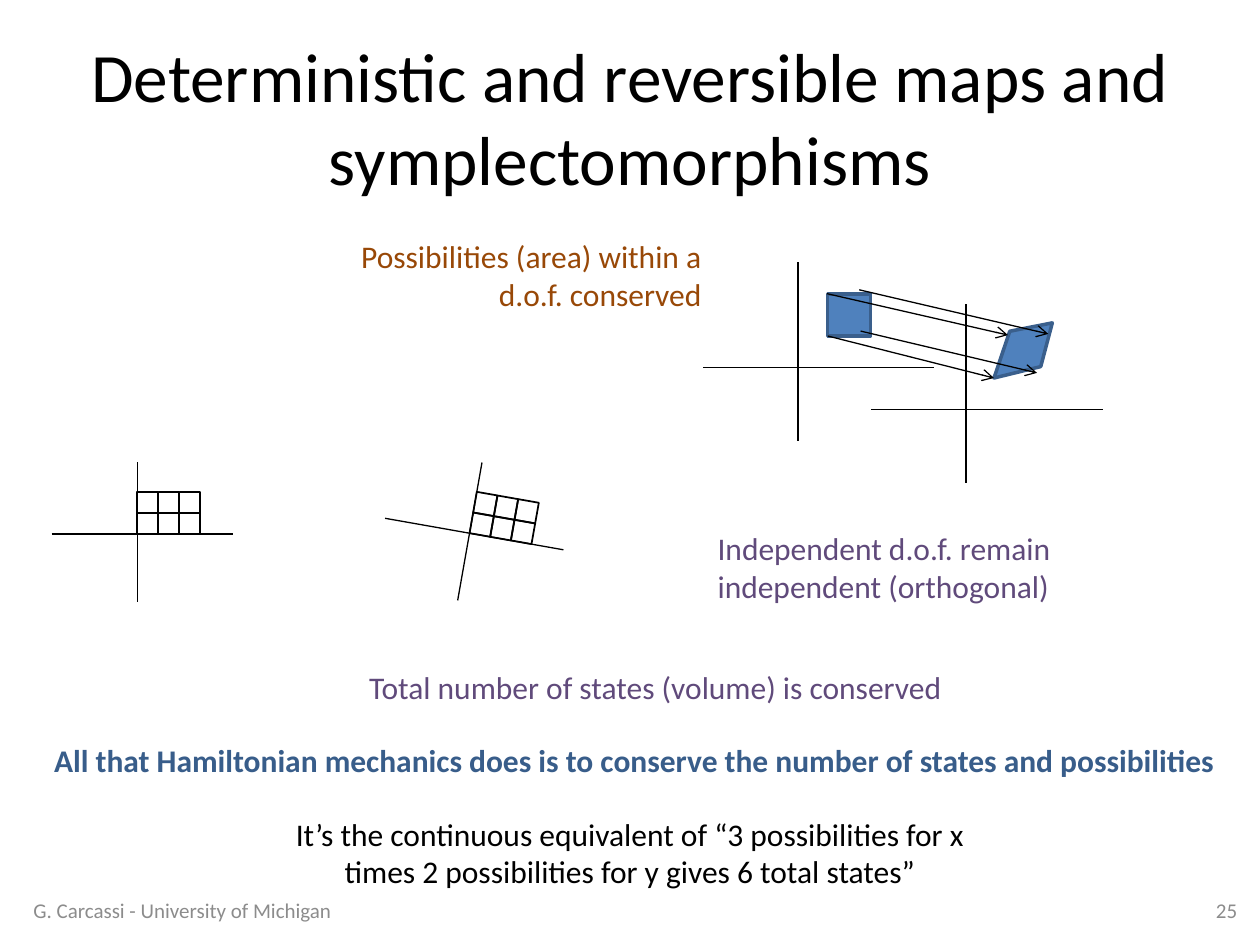
from math import cos, radians, sin

from lxml import etree
from pptx import Presentation
from pptx.dml.color import RGBColor
from pptx.enum import shapes, text
from pptx.oxml.ns import qn
from pptx.util import Pt

COLORS = {
    "black": "000000", "brown": "984807", "purple": "604A7B",
    "navy": "385D8A", "gray": "8C8C8C", "blue": "4F81BD", "edge": "3A5F8C",
}
LEFT, CENTER, RIGHT = text.PP_ALIGN.LEFT, text.PP_ALIGN.CENTER, text.PP_ALIGN.RIGHT
TOP, MIDDLE = text.MSO_ANCHOR.TOP, text.MSO_ANCHOR.MIDDLE
CELL = 12


class SlideBuilder:
    font = "Calibri"

    def __init__(self, slide):
        self.slide = slide

    def color(self, name):
        return RGBColor.from_string(COLORS[name])

    def set_text(self, frame, lines, size, color, align, bold=False):
        frame.text = "\n".join(lines)
        for paragraph in frame.paragraphs:
            paragraph.alignment = align
            font = paragraph.font
            font.name, font.size, font.bold = self.font, Pt(size), bold
            font.color.rgb = self.color(color)

    def title(self, wording, box):
        title = self.slide.shapes.title
        title.left, title.top, title.width, title.height = map(Pt, box)
        title.text_frame.vertical_anchor = MIDDLE
        self.set_text(title.text_frame, [wording], 39.6, "black", CENTER)

    def label(self, lines, box, color, align=LEFT, size=18, bold=False,
              wrap=True, anchor=TOP):
        frame = self.slide.shapes.add_textbox(*map(Pt, box)).text_frame
        frame.word_wrap, frame.vertical_anchor = wrap, anchor
        self.set_text(frame, lines, size, color, align, bold)

    def group(self):
        return self.slide.shapes.add_group_shape().shapes

    def line(self, start, end, width=0.75, arrow=False, parent=None):
        connector = (parent or self.slide.shapes).add_connector(
            shapes.MSO_CONNECTOR.STRAIGHT, *map(Pt, (*start, *end)))
        connector.line.color.rgb = self.color("black")
        connector.line.width = Pt(width)
        properties = connector._element.spPr
        if arrow:
            etree.SubElement(properties.find(qn("a:ln")), qn("a:tailEnd"), type="arrow")
        etree.SubElement(properties, qn("a:effectLst"))

    def polygon(self, corners, parent):
        first, *rest = [(Pt(x), Pt(y)) for x, y in corners]
        builder = parent.build_freeform(*first)
        builder.add_line_segments(rest, close=True)
        region = builder.convert_to_shape()
        region.shadow.inherit = False
        region.fill.solid()
        region.fill.fore_color.rgb = self.color("blue")
        region.line.color.rgb = self.color("edge")
        region.line.width = Pt(2)

    def cell(self, center, angle, parent):
        x, y = center
        square = parent.add_shape(
            shapes.MSO_SHAPE.RECTANGLE,
            *map(Pt, (x - CELL / 2, y - CELL / 2, CELL, CELL)))
        square.rotation = angle
        square.shadow.inherit = False
        square.fill.background()
        square.line.color.rgb = self.color("black")
        square.line.width = Pt(1)

    def phase_plane(self, origin, corners):
        """Axes around origin with a filled region of possibilities."""
        x, y = origin
        plane = self.group()
        self.polygon(corners, plane)
        self.line((x, y - 60), (x, y + 42), 1, parent=plane)
        self.line((x - 54, y), (x + 78, y), 1, parent=plane)

    def state_grid(self, origin, angle):
        """Axes and a 3 by 2 grid of states, turned around origin."""
        turn = radians(angle)

        def place(x, y):
            return (origin[0] + x * cos(turn) - y * sin(turn),
                    origin[1] + x * sin(turn) + y * cos(turn))

        self.line(place(0, -41), place(0, 39))
        self.line(place(-49, 0), place(54.5, 0))
        grid = self.group()
        for row in range(2):
            for column in range(3):
                center = place((column + 0.5) * CELL, -(row + 0.5) * CELL)
                self.cell(center, angle, grid)


def main():
    deck = Presentation()
    deck.slide_width, deck.slide_height = Pt(720), Pt(540)
    page = SlideBuilder(deck.slides.add_slide(deck.slide_layouts[5]))

    page.title("Deterministic and reversible maps and symplectomorphisms",
               (36, 21.6, 648, 90))
    page.label(["Possibilities (area) within a d.o.f. conserved"],
               (174, 132, 234, 51), "brown", RIGHT)
    page.label(["Independent d.o.f. remain", "independent (orthogonal)"],
               (403, 299, 211, 51), "purple", wrap=False)
    page.label(["Total number of states (volume) is conserved"],
               (203.8, 378, 345.6, 29), "purple", wrap=False)

    page.phase_plane((456, 210), [(473, 168), (497.5, 168), (497.5, 192), (473, 192)])
    page.phase_plane((552, 234), [(577, 189.3), (601.3, 184.5), (594.7, 209.5), (568, 216)])
    mappings = [
        ((473, 192), (568, 216)),
        ((491.8, 189.2), (592.6, 213.1)),
        ((491, 165.6), (599, 190.8)),
        ((472.5, 167.8), (576, 191.5)),
    ]
    for start, end in mappings:
        page.line(start, end, arrow=True)

    page.state_grid((78.5, 305.2), 0)
    page.state_grid((268.3, 304.7), 10)

    page.label(["All that Hamiltonian mechanics does is to conserve "
                "the number of states and possibilities"],
               (23.8, 420, 682.6, 29), "navy", bold=True, wrap=False)
    page.label(["It’s the continuous equivalent of “3 possibilities for x "
                "times 2 possibilities for y gives 6 total states”"],
               (150, 462, 420, 51), "black", CENTER)
    page.label(["25"], (546, 505.5, 168, 28.8), "gray", RIGHT, 12, anchor=MIDDLE)
    page.label(["G. Carcassi - University of Michigan"],
               (12, 505.5, 228, 28.8), "gray", size=12, anchor=MIDDLE)

    deck.save("out.pptx")


if __name__ == "__main__":
    main()
